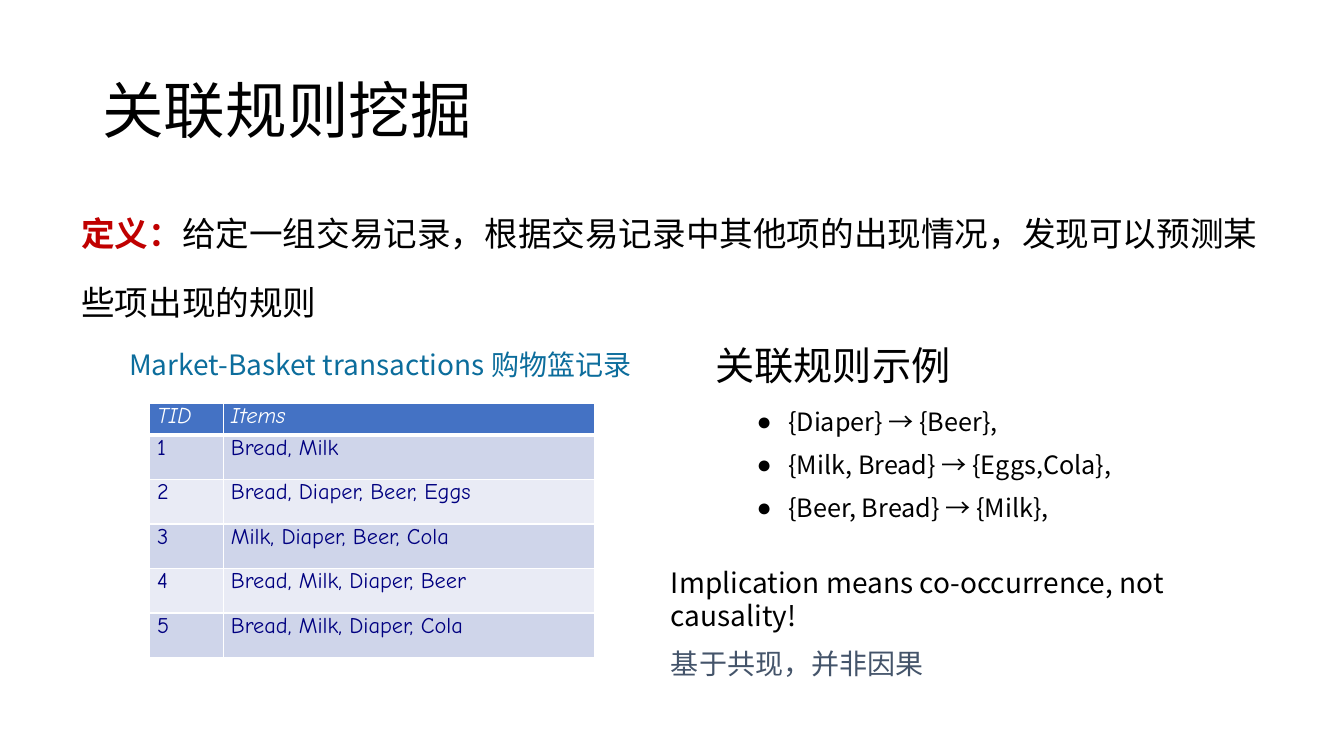
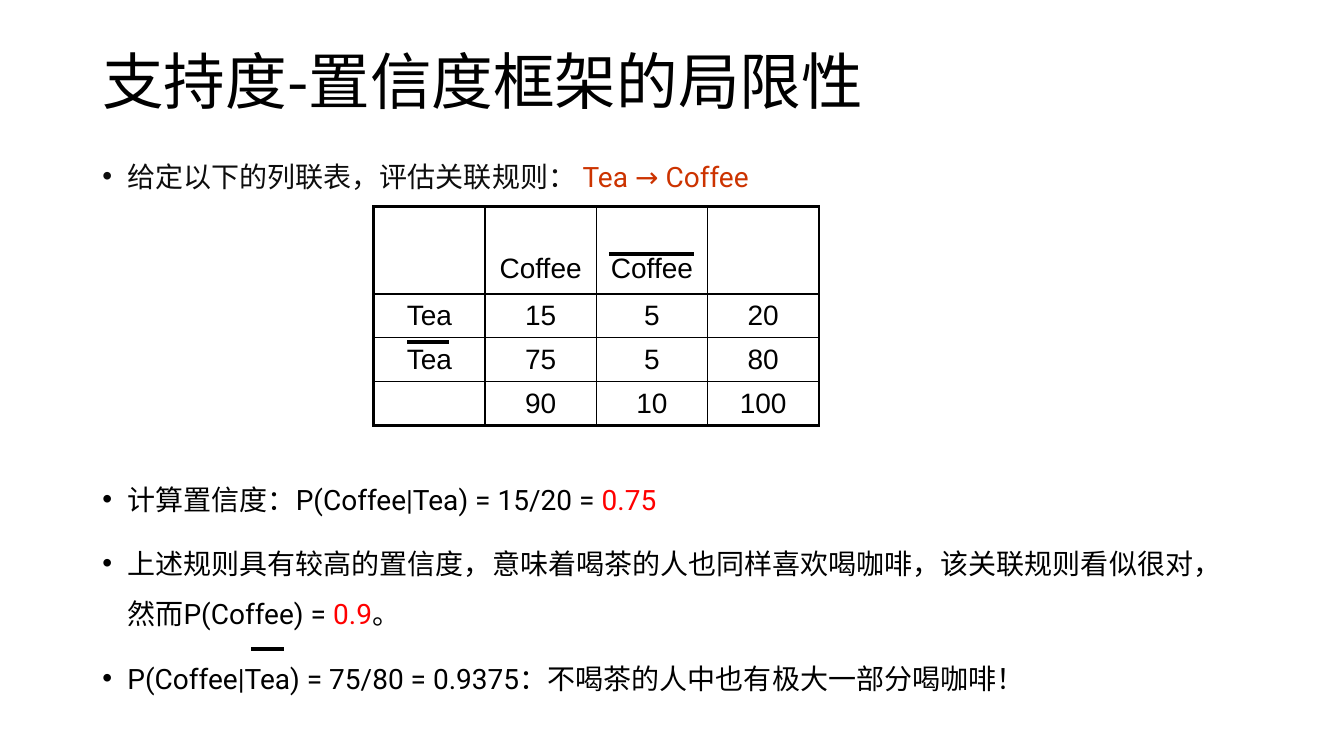
import pptx
import pptx.dml.color
import pptx.enum.shapes
import pptx.enum.text
import pptx.oxml
import pptx.oxml.ns
import pptx.util
from lxml import etree

RGBColor = pptx.dml.color.RGBColor
ANCHOR = pptx.enum.text.MSO_ANCHOR
ALIGN = pptx.enum.text.PP_ALIGN
qn = pptx.oxml.ns.qn

# Colours
BLACK = RGBColor(0x00, 0x00, 0x00)
WHITE = RGBColor(0xFF, 0xFF, 0xFF)
INK = RGBColor(0x0D, 0x0D, 0x0D)
DARK_RED = RGBColor(0xC0, 0x00, 0x00)
RED = RGBColor(0xFF, 0x00, 0x00)
RUST = RGBColor(0xCC, 0x33, 0x00)
TEAL = RGBColor(0x0C, 0x6D, 0x9C)
SLATE = RGBColor(0x44, 0x54, 0x6A)
NAVY = RGBColor(0x00, 0x00, 0x80)
HEADER_BLUE = RGBColor(0x44, 0x72, 0xC4)
BANDS = RGBColor(0xCF, 0xD5, 0xEA), RGBColor(0xE9, 0xEB, 0xF5)

# Fonts
CJK = "Noto Sans CJK SC"
LATIN = "Roboto"

# Grid: square cells, twelve to the inch
COLUMNS, ROWS = 160, 90


def grid(cells):
    return pptx.util.Emu(round(pptx.util.Inches(cells / 12)))


class Deck:
    """Shared style, and the slide being built."""

    def __init__(self):
        self.prs = pptx.Presentation()
        self.prs.slide_width = grid(COLUMNS)
        self.prs.slide_height = grid(ROWS)
        self.slide = None

    def new_slide(self, title, top, height):
        self.slide = self.prs.slides.add_slide(self.prs.slide_layouts[6])
        self.text((11, top, 138, height), [[(title, BLACK)]], size=44,
                  line=0.9, anchor=ANCHOR.MIDDLE)

    def run(self, paragraph, text, color, size, font=CJK, bold=False, italic=False):
        run = paragraph.add_run()
        run.text = text
        run.font.size = pptx.util.Pt(size)
        run.font.bold, run.font.italic = bold, italic
        run.font.color.rgb = color
        run.font.name = font
        east_asian = etree.SubElement(run.font._element, qn("a:ea"))
        east_asian.set("typeface", CJK)

    def bullet(self, paragraph, mark, indent):
        properties = paragraph._p.get_or_add_pPr()
        properties.set("marL", str(grid(indent)))
        properties.set("indent", str(-grid(indent)))
        etree.SubElement(properties, qn("a:buFont")).set("typeface", "Arial")
        etree.SubElement(properties, qn("a:buChar")).set("char", mark)

    def text(self, area, paragraphs, size, line=1.0, before=0, mark=None,
             indent=3, anchor=ANCHOR.TOP):
        """Each paragraph is a list of runs: (text, colour[, font[, bold]])."""
        box = self.slide.shapes.add_textbox(*map(grid, area))
        frame = box.text_frame
        frame.word_wrap = True
        frame.vertical_anchor = anchor
        for number, runs in enumerate(paragraphs):
            paragraph = frame.add_paragraph() if number else frame.paragraphs[0]
            if mark:
                self.bullet(paragraph, mark, indent)
            paragraph.line_spacing = line
            paragraph.space_before = pptx.util.Pt(before if number else 0)
            for text, color, *style in runs:
                self.run(paragraph, text, color, size, *style)

    def table(self, left, top, widths, heights):
        frame = self.slide.shapes.add_table(
            len(heights), len(widths),
            *map(grid, (left, top, sum(widths), sum(heights))))
        table = frame.table
        table.first_row = table.horz_banding = False
        for column, width in zip(table.columns, widths):
            column.width = grid(width)
        for row, height in zip(table.rows, heights):
            row.height = grid(height)
        return table

    def borders(self, cell, color, weights):
        """Weights in points: left, right, top, bottom."""
        properties = cell._tc.get_or_add_tcPr()
        for place, (side, weight) in enumerate(zip("LRTB", weights)):
            edge = etree.Element(qn(f"a:ln{side}"), w=str(pptx.util.Pt(weight)))
            fill = etree.SubElement(edge, qn("a:solidFill"))
            etree.SubElement(fill, qn("a:srgbClr")).set("val", str(color))
            properties.insert(place, edge)

    def banded_table(self, left, top, widths, heights, records):
        table = self.table(left, top, widths, heights)
        for r, record in enumerate(records):
            header = r == 0
            for c, value in enumerate(record):
                cell = table.cell(r, c)
                cell.margin_left = cell.margin_right = grid(0.9)
                cell.margin_top = cell.margin_bottom = 0
                cell.fill.solid()
                cell.fill.fore_color.rgb = HEADER_BLUE if header else BANDS[(r - 1) % 2]
                self.run(cell.text_frame.paragraphs[0], value,
                         WHITE if header else NAVY, 16, "Comic Neue", italic=header)
                self.borders(cell, WHITE, (1, 1, 3 if r == 1 else 1, 3 if header else 1))

    def framed_table(self, left, top, widths, heights, records):
        table = self.table(left, top, widths, heights)
        last_row, last_column = len(heights) - 1, len(widths) - 1
        for r, record in enumerate(records):
            for c, value in enumerate(record):
                cell = table.cell(r, c)
                cell.fill.background()
                cell.vertical_anchor = ANCHOR.MIDDLE if r else ANCHOR.BOTTOM
                if r == 0:
                    cell.margin_bottom = grid(1.2)
                paragraph = cell.text_frame.paragraphs[0]
                paragraph.alignment = ALIGN.CENTER
                if value:
                    self.run(paragraph, value, BLACK, 20, "Arial")
                outer = c == 0, c == last_column, r == 0, r == last_row
                self.borders(cell, BLACK, [2.25 if edge else 1 for edge in outer])

    def overline(self, left, right, y):
        bar = self.slide.shapes.add_connector(
            pptx.enum.shapes.MSO_CONNECTOR.STRAIGHT, *map(grid, (left, y, right, y)))
        bar.line.color.rgb = BLACK
        bar.line.width = pptx.util.Pt(3)
        etree.SubElement(bar._element.spPr, qn("a:effectLst"))


def association_rules(deck):
    deck.new_slide("关联规则挖掘", 4.8, 17.4)
    deck.text((8.5, 21.4, 143, 17.8), [[
        ("定义：", DARK_RED, CJK, True),
        ("给定一组交易记录，根据交易记录中其他项的出现情况，发现可以预测某些项出现的规则", BLACK),
    ]], size=24, line=1.7)

    # Transactions
    deck.text((14.2, 40.8, 68, 5.3),
              [[("Market-Basket transactions 购物篮记录", TEAL)]], size=20)
    baskets = ["Bread, Milk", "Bread, Diaper, Beer, Eggs", "Milk, Diaper, Beer, Cola",
               "Bread, Milk, Diaper, Beer", "Bread, Milk, Diaper, Cola"]
    records = [("TID", "Items")]
    records += [(str(tid), items) for tid, items in enumerate(baskets, 1)]
    deck.banded_table(17.8, 48, [8.8, 44.2], [3.8] + [5.3] * len(baskets), records)

    # Example rules
    deck.text((84, 40, 50, 6.8), [[("关联规则示例", BLACK)]], size=28)
    rules = ["{Diaper} → {Beer},", "{Milk, Bread} → {Eggs,Cola},", "{Beer, Bread} → {Milk},"]
    deck.text((88.9, 47.8, 58, 15.7), [[(rule, BLACK)] for rule in rules],
              size=18, before=9, mark="●", indent=3.75)
    deck.text((78.7, 66.7, 75, 15.4), [
        [("Implication means co-occurrence, not causality!", BLACK)],
        [("基于共现，并非因果", SLATE)],
    ], size=20, before=10)


def confidence_limits(deck):
    deck.new_slide("支持度-置信度框架的局限性", 5.5, 9.2)
    body = dict(size=20, line=1.5, before=10, mark="•")

    # Rule and contingency table
    deck.text((11, 16.4, 138, 8), [[
        ("给定以下的列联表，评估关联规则：", INK),
        (" Tea → Coffee", RUST, LATIN),
    ]], **body)
    deck.framed_table(44.5, 24.6, [13.25] * 4, [10.4] + [5.2] * 3, [
        ("", "Coffee", "Coffee", ""),
        ("Tea", "15", "5", "20"),
        ("Tea", "75", "5", "80"),
        ("", "90", "10", "100"),
    ])

    # Reading of the table
    deck.text((11, 54.8, 138, 30), [
        [("计算置信度：P(Coffee|Tea) = 15/20 = ", BLACK, LATIN), ("0.75", RED, LATIN)],
        [("上述规则具有较高的置信度，意味着喝茶的人也同样喜欢喝咖啡，该关联规则看似很对，然而", BLACK),
         ("P(Coffee) = ", BLACK, LATIN), ("0.9", RED, LATIN), ("。", BLACK, LATIN)],
        [("P(Coffee|Tea) = 75/80 = 0.9375：", BLACK, LATIN),
         ("不喝茶的人中也有极大一部分喝咖啡！", BLACK)],
    ], **body)

    # Negation bars: column heading, row heading, formula
    for left, right, y in [(72.5, 82.6, 30.2), (48.5, 53.5, 40.7), (29.9, 33.8, 77.3)]:
        deck.overline(left, right, y)


def main():
    deck = Deck()
    association_rules(deck)
    confidence_limits(deck)
    deck.prs.save("out.pptx")


if __name__ == "__main__":
    main()
